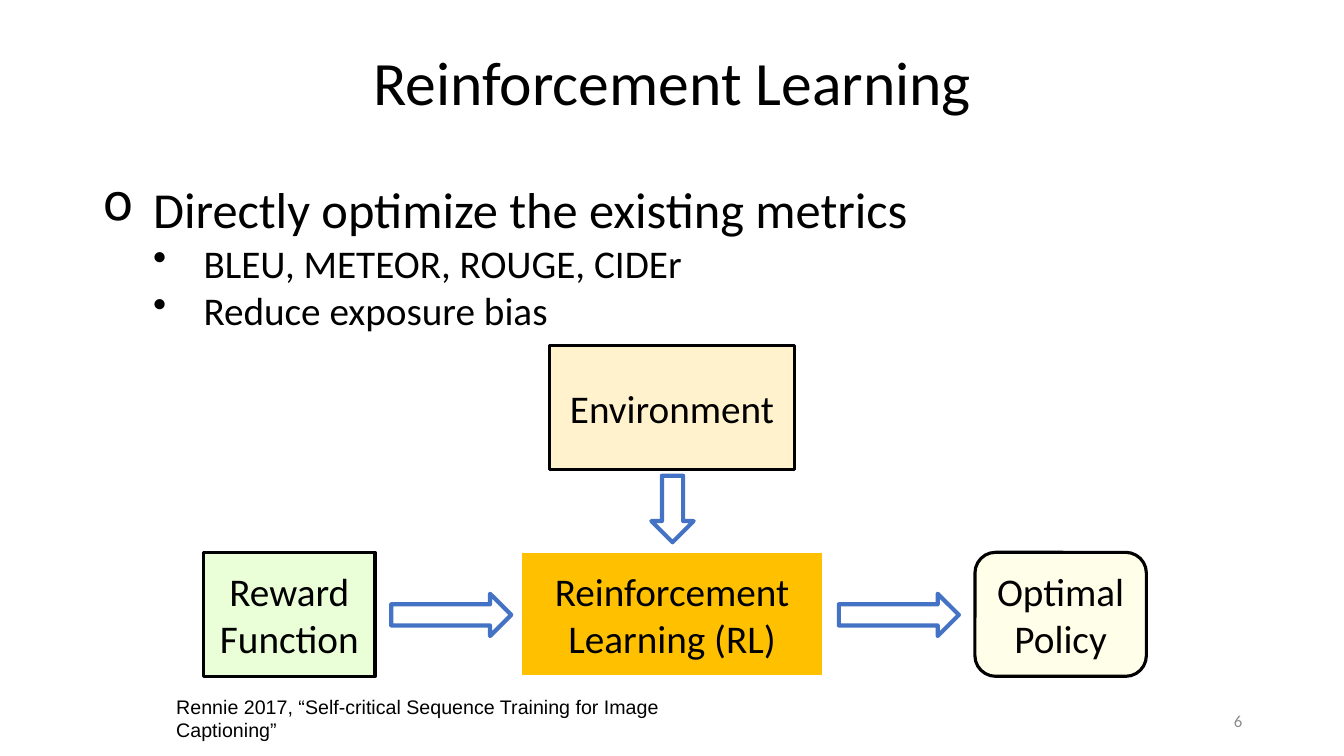
from lxml import etree
from pptx import Presentation
from pptx.dml.color import RGBColor
from pptx.enum import shapes, text
from pptx.oxml.ns import qn
from pptx.util import Inches, Pt

KIND = shapes.MSO_SHAPE
ALIGN = text.PP_ALIGN
ANCHOR = text.MSO_ANCHOR

TITLE = "Reinforcement Learning"
# text, level, bullet, size
BULLETS = [
    ("Directly optimize the existing metrics", 0, "o", 36),
    ("BLEU, METEOR, ROUGE, CIDEr", 1, "•", 28),
    ("Reduce exposure bias", 1, "•", 28),
]
CITATION = "Rennie 2017, “Self-critical Sequence Training for Image Captioning”"
PAGE_NUMBER = "6"

ROW_TOP, BOX_HEIGHT = 5.48, 1.23
# text, kind, left, top, width, fill, line, line width
BOXES = [
    ("Reinforcement Learning (RL)", KIND.RECTANGLE, 5.17, ROW_TOP, 2.99, "FFC000", "FFFFFF", 1.5),
    ("Environment", KIND.RECTANGLE, 5.45, 3.43, 2.43, "FFF2CC", "000000", 2.25),
    ("Reward Function", KIND.RECTANGLE, 2.02, ROW_TOP, 1.7, "EAFED8", "000000", 2.25),
    ("Optimal Policy", KIND.ROUNDED_RECTANGLE, 9.67, ROW_TOP, 1.7, "FFFFE9", "000000", 2.25),
]
ARROW_HEIGHT = 0.42
# left, top, width, rotation
ARROWS = [(3.88, 5.89, 1.19, 0), (8.32, 5.89, 1.19, 0), (6.34, 4.84, 0.66, 90)]


def color(value):
    return RGBColor.from_string(value)


def apply(target, **values):
    for name, value in values.items():
        setattr(target, name, value)


def write(paragraph, words, size, font="Calibri", ink="000000", **layout):
    """Fill a paragraph with one formatted run and set paragraph properties."""
    apply(paragraph, **layout)
    run = paragraph.add_run()
    run.text = words
    apply(run.font, size=Pt(size), name=font)
    run.font.color.rgb = color(ink)


def add_text_frame(slide, left, top, width, height, anchor=ANCHOR.TOP):
    box = slide.shapes.add_textbox(*map(Inches, (left, top, width, height)))
    apply(box.text_frame, word_wrap=True, vertical_anchor=anchor)
    return box.text_frame


def add_figure(slide, kind, place, fill, line, line_width):
    shape = slide.shapes.add_shape(kind, *map(Inches, place))
    shape.shadow.inherit = False
    shape.fill.solid()
    shape.fill.fore_color.rgb = color(fill)
    shape.line.color.rgb = color(line)
    shape.line.width = Pt(line_width)
    return shape


def add_bullet(paragraph, level, character):
    properties = paragraph._p.get_or_add_pPr()
    properties.set("marL", str(Inches(0.5 * (level + 1))))
    properties.set("indent", str(Inches(-0.5)))
    etree.SubElement(properties, qn("a:buChar")).set("char", character)


def main():
    presentation = Presentation()
    apply(presentation, slide_width=Inches(13.33), slide_height=Inches(7.5))
    slide = presentation.slides.add_slide(presentation.slide_layouts[6])

    title = add_text_frame(slide, 0.92, 0.12, 11.5, 1.45, ANCHOR.MIDDLE)
    write(title.paragraphs[0], TITLE, 44, alignment=ALIGN.CENTER, line_spacing=0.9)

    number = add_text_frame(slide, 9.42, 6.95, 3, 0.4, ANCHOR.MIDDLE)
    write(number.paragraphs[0], PAGE_NUMBER, 12, ink="8C8C8C", alignment=ALIGN.RIGHT)

    body = add_text_frame(slide, 0.92, 1.72, 11.68, 1.65)
    for index, (words, level, character, size) in enumerate(BULLETS):
        paragraph = body.add_paragraph() if index else body.paragraphs[0]
        add_bullet(paragraph, level, character)
        write(paragraph, words, size, level=level)

    for words, kind, left, top, width, fill, line, line_width in BOXES:
        place = (left, top, width, BOX_HEIGHT)
        frame = add_figure(slide, kind, place, fill, line, line_width).text_frame
        apply(frame, word_wrap=True, vertical_anchor=ANCHOR.MIDDLE)
        write(frame.paragraphs[0], words, 28, alignment=ALIGN.CENTER)

    for left, top, width, rotation in ARROWS:
        place = (left, top, width, ARROW_HEIGHT)
        arrow = add_figure(slide, KIND.RIGHT_ARROW, place, "FFFFFF", "4472C4", 3)
        arrow.rotation = rotation

    citation = add_text_frame(slide, 1.65, 6.84, 5.66, 0.34)
    write(citation.paragraphs[0], CITATION, 14, font="Arial")

    presentation.save("out.pptx")


if __name__ == "__main__":
    main()
